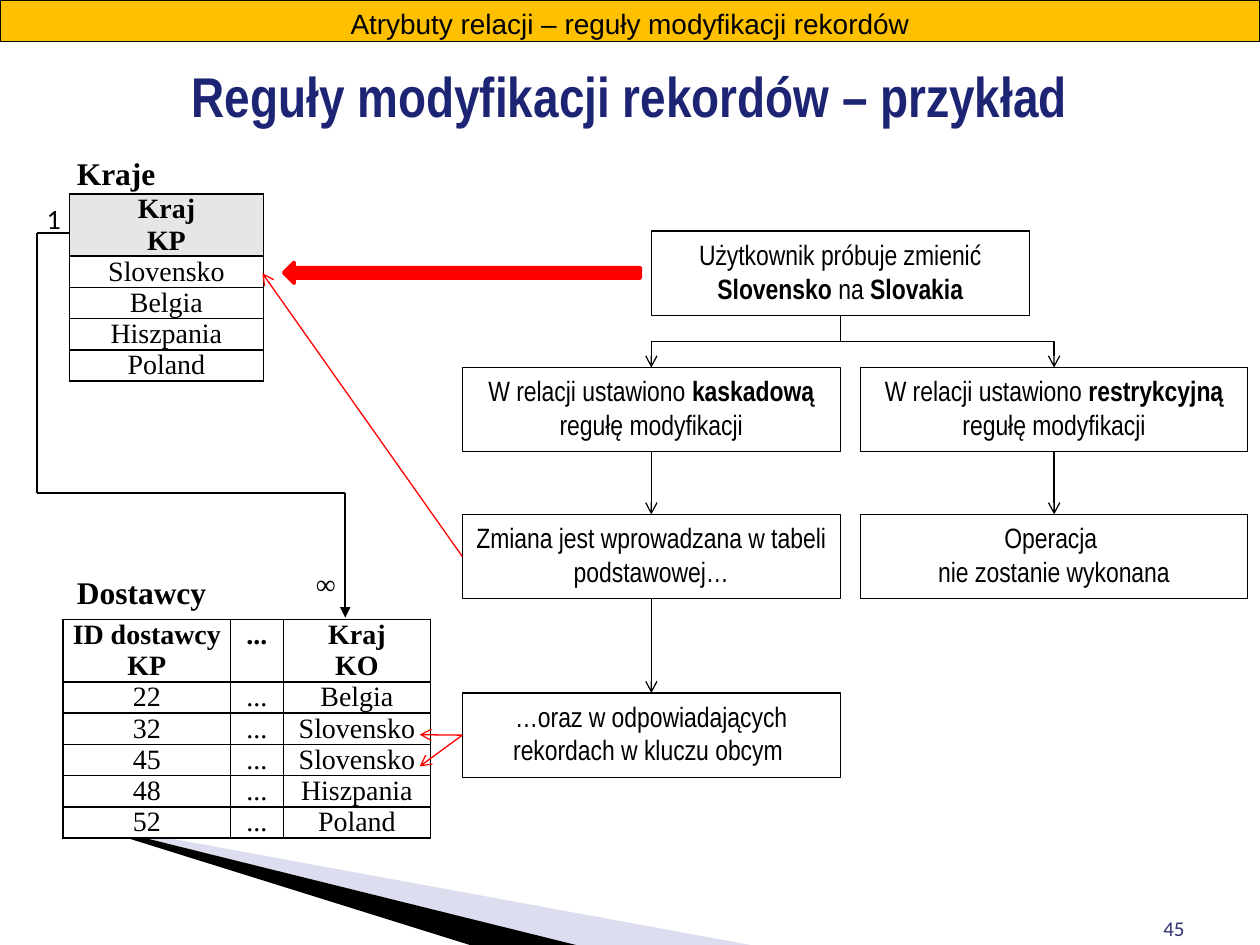
import pptx
import pptx.util
import pptx.dml.color
import pptx.enum.shapes
import pptx.enum.text
import pptx.oxml
import pptx.oxml.ns
from dataclasses import dataclass

Cm, Pt = pptx.util.Cm, pptx.util.Pt
Align, Anchor = pptx.enum.text.PP_ALIGN, pptx.enum.text.MSO_ANCHOR
Kind, Link = pptx.enum.shapes.MSO_SHAPE, pptx.enum.shapes.MSO_CONNECTOR
LEFT, MID, RIGHT = Align.LEFT, Align.CENTER, Align.RIGHT
NS = pptx.oxml.ns.nsdecls("a")


@dataclass(frozen=True)
class Theme:
    black: str = "000000"
    white: str = "FFFFFF"
    red: str = "FF0000"
    gold: str = "FFC000"
    grey: str = "E6E6E6"
    navy: str = "1D2474"
    slate: str = "30356E"
    mist: str = "A8ABD5"
    sans: str = "Arial"
    slim: str = "Arial Narrow"
    plain: str = "Calibri"
    serif: str = "Times New Roman"
    head: int = 32
    label: int = 18
    body: int = 16
    small: int = 12
    thin: float = 0.75
    rule: float = 1


T = Theme()


def rgb(code):
    return pptx.dml.color.RGBColor.from_string(code)


def xml(text):
    return pptx.oxml.parse_xml(text)


def paint(item, fill, line=None, width=T.thin):
    if fill:
        item.fill.solid()
        item.fill.fore_color.rgb = rgb(fill)
    else:
        item.fill.background()
    if line:
        item.line.color.rgb = rgb(line)
        item.line.width = Pt(width)
    else:
        item.line.fill.background()
    item.shadow.inherit = False


def write(frame, text, face, size=T.body, color=T.black, bold=False, align=MID,
          anchor=Anchor.TOP, pad=(0.25, 0.13)):
    frame.word_wrap = True
    frame.auto_size = pptx.enum.text.MSO_AUTO_SIZE.NONE
    frame.vertical_anchor = anchor
    frame.margin_left = frame.margin_right = Cm(pad[0])
    frame.margin_top = frame.margin_bottom = Cm(pad[1])
    para = frame.paragraphs[0]
    parts = text.split("*")
    if len(parts) == 1:
        para.text = text
    else:
        for num, part in enumerate(parts):
            if part:
                run = para.add_run()
                run.text = part
                if num % 2:
                    run.font.bold = True
    para.alignment = align
    font = para.font
    font.name, font.size, font.bold = face, Pt(size), bold
    font.color.rgb = rgb(color)
    return para


def block(slide, spot, fill=None, line=None, kind=Kind.RECTANGLE, width=T.thin):
    shape = slide.shapes.add_shape(kind, *map(Cm, spot))
    paint(shape, fill, line, width)
    return shape


def box(slide, spot, text):
    shape = block(slide, spot, line=T.black)
    write(shape.text_frame, text, T.slim)
    return shape


def mark(slide, spot, text, face):
    shape = block(slide, spot, T.white)
    para = write(shape.text_frame, text, face, align=LEFT, pad=(0.25, 0))
    para.space_after = Pt(10)


def label(slide, spot, text, face, **look):
    shape = slide.shapes.add_textbox(*map(Cm, spot))
    write(shape.text_frame, text, face, **look)


def wedge(slide, points, fill, alpha=None):
    spots = [(Cm(x), Cm(y)) for x, y in points]
    path = slide.shapes.build_freeform(*spots[0])
    path.add_line_segments(spots[1:], close=True)
    shape = path.convert_to_shape()
    paint(shape, fill)
    if alpha:
        tone = shape.element.spPr.find(".//" + pptx.oxml.ns.qn("a:srgbClr"))
        tone.append(xml(f'<a:alpha {NS} val="{alpha * 1000}"/>'))


def wire(slide, start, end, color=T.black, width=T.thin, tip=None, kind=Link.STRAIGHT):
    line = slide.shapes.add_connector(kind, *map(Cm, start + end))
    line.line.color.rgb = rgb(color)
    line.line.width = Pt(width)
    if tip:
        line.line._get_or_add_ln().append(xml(f'<a:tailEnd {NS} type="{tip}"/>'))
    line.element.spPr.append(xml(f"<a:effectLst {NS}/>"))
    return line


def point(slide, shape, end):
    line = wire(slide, (0, 0), end, T.red, tip="arrow")
    line.begin_connect(shape, 1)


def drop(slide, top, low, bent=False):
    kind = Link.ELBOW if bent else Link.STRAIGHT
    line = wire(slide, (0, 0), (1, 1), tip="arrow", kind=kind)
    line.begin_connect(top, 2)
    line.end_connect(low, 0)
    if bent:
        turn(line, top, low)


def turn(line, top, low):
    x1, x2 = (item.left + item.width // 2 for item in (top, low))
    y1, y2 = top.top + top.height, low.top
    wide, high = y2 - y1, abs(x2 - x1)
    line.left, line.top = (x1 + x2 - wide) // 2, (y1 + y2 - high) // 2
    line.width, line.height = wide, high
    frame = line.element.spPr.xfrm
    right = x2 > x1
    frame.set("rot", str((270 if right else 90) * 60000))
    frame.set("flipH", str(int(right)))


def edge(cell):
    props = cell._tc.get_or_add_tcPr()
    for spot, side in enumerate("LRTB"):
        props.insert(spot, xml(
            f'<a:ln{side} {NS} w="{Pt(T.rule)}"><a:solidFill><a:srgbClr val="{T.black}"/>'
            f"</a:solidFill></a:ln{side}>"))


def table(slide, spot, cols, rows, head, fill):
    high = [1.24] + [0.63] * (len(rows) - 1)
    size = (sum(cols), sum(high))
    grid = slide.shapes.add_table(len(rows), len(cols), *map(Cm, spot + size)).table
    grid.first_row = grid.horz_banding = False
    for col, wide in zip(grid.columns, cols):
        col.width = Cm(wide)
    for num, row in enumerate(rows):
        grid.rows[num].height = Cm(high[num])
        for col, text in enumerate(row):
            cell = grid.cell(num, col)
            cell.margin_left = cell.margin_right = Cm(0.13)
            cell.margin_top = cell.margin_bottom = 0
            para = cell.text_frame.paragraphs[0]
            para.text, para.alignment = text, MID
            para.font.name, para.font.size = T.serif, Pt(T.body)
            para.font.bold = num == 0
            para.font.color.rgb = rgb(T.black)
            tone = fill if num else head
            if tone:
                cell.fill.solid()
                cell.fill.fore_color.rgb = rgb(tone)
            else:
                cell.fill.background()
            edge(cell)


def flow(slide):
    wide, high, left, right = 7.62, 1.7, 9.32, 17.35
    ask = box(slide, (13.13, 4.66, wide, high),
              "Użytkownik próbuje zmienić *Slovensko* na *Slovakia*")
    block(slide, (5.72, 5.29, 7.19, 0.42), T.red, T.red, Kind.LEFT_ARROW, 2)
    soft = box(slide, (left, 7.41, wide, high),
               "W relacji ustawiono *kaskadową* regułę modyfikacji")
    hard = box(slide, (right, 7.41, 7.8, high),
               "W relacji ustawiono *restrykcyjną* regułę modyfikacji")
    stop = box(slide, (right, 10.37, 7.8, high), "Operacja \vnie zostanie wykonana")
    base = box(slide, (left, 10.37, wide, high),
               "Zmiana jest wprowadzana w tabeli podstawowej…")
    more = box(slide, (left, 13.97, wide, high),
               "…oraz w odpowiadających rekordach w kluczu obcym ")
    for shape, end in ((base, (5.29, 5.51)), (more, (8.46, 14.81)), (more, (8.46, 15.45))):
        point(slide, shape, end)
    for low in (hard, soft):
        drop(slide, ask, low, True)
    for top, low in ((soft, base), (hard, stop), (base, more)):
        drop(slide, top, low)


def main():
    deck = pptx.Presentation()
    deck.slide_width, deck.slide_height = Cm(25.4), Cm(19.05)
    slide = deck.slides.add_slide(deck.slide_layouts[5])
    wedge(slide, [(1.4, 16.53), (15.13, 19.05), (11.61, 19.05)], T.mist, 40)
    wedge(slide, [(1.37, 16.51), (11.61, 19.05), (9.47, 19.05), (1.4, 16.53)], T.black)
    mark(slide, (0.69, 4.06, 0.79, 0.61), "1", T.plain)
    label(slide, (18.21, 17.78, 5.92, 1.32), "45", T.plain, size=T.small,
          color=T.slate, align=RIGHT, anchor=Anchor.BOTTOM)
    title = slide.shapes.title
    title.left, title.top, title.width, title.height = map(Cm, (0, 1.07, 25.4, 1.7))
    write(title.text_frame, "Reguły modyfikacji rekordów – przykład", T.slim, T.head,
          T.navy, True, anchor=Anchor.MIDDLE, pad=(0.13, 0.13))
    lands = ["Slovensko", "Belgia", "Hiszpania", "Poland"]
    table(slide, (1.4, 3.91), (3.91,), [["Kraj\vKP"]] + [[x] for x in lands], T.grey, None)
    firms = [("22", "Belgia"), ("32", "Slovensko"), ("45", "Slovensko"),
             ("48", "Hiszpania"), ("52", "Poland")]
    rows = [(num, "...", land) for num, land in [("ID dostawcy\vKP", "Kraj\vKO")] + firms]
    table(slide, (1.27, 12.49), (3.38, 1.06, 2.97), rows, T.white, T.white)
    for text, top, wide in (("Kraje", 2.97, 2.77), ("Dostawcy", 11.43, 3.96)):
        label(slide, (1.3, top, wide, 1.02), text, T.serif, size=T.label, bold=True, align=LEFT)
    mark(slide, (6.12, 11.43, 0.86, 0.61), "∞", T.serif)
    bends = [(1.4, 4.7), (0.74, 4.7), (0.74, 9.94), (6.96, 9.94), (6.96, 12.45)]
    for start, end in zip(bends, bends[1:]):
        wire(slide, start, end, width=T.rule, tip="triangle" if end == bends[-1] else None)
    flow(slide)
    bar = block(slide, (0, 0, 25.4, 0.84), T.gold, T.black)
    write(bar.text_frame, "Atrybuty relacji – reguły modyfikacji rekordów", T.sans)
    deck.save("out.pptx")


if __name__ == "__main__":
    main()
